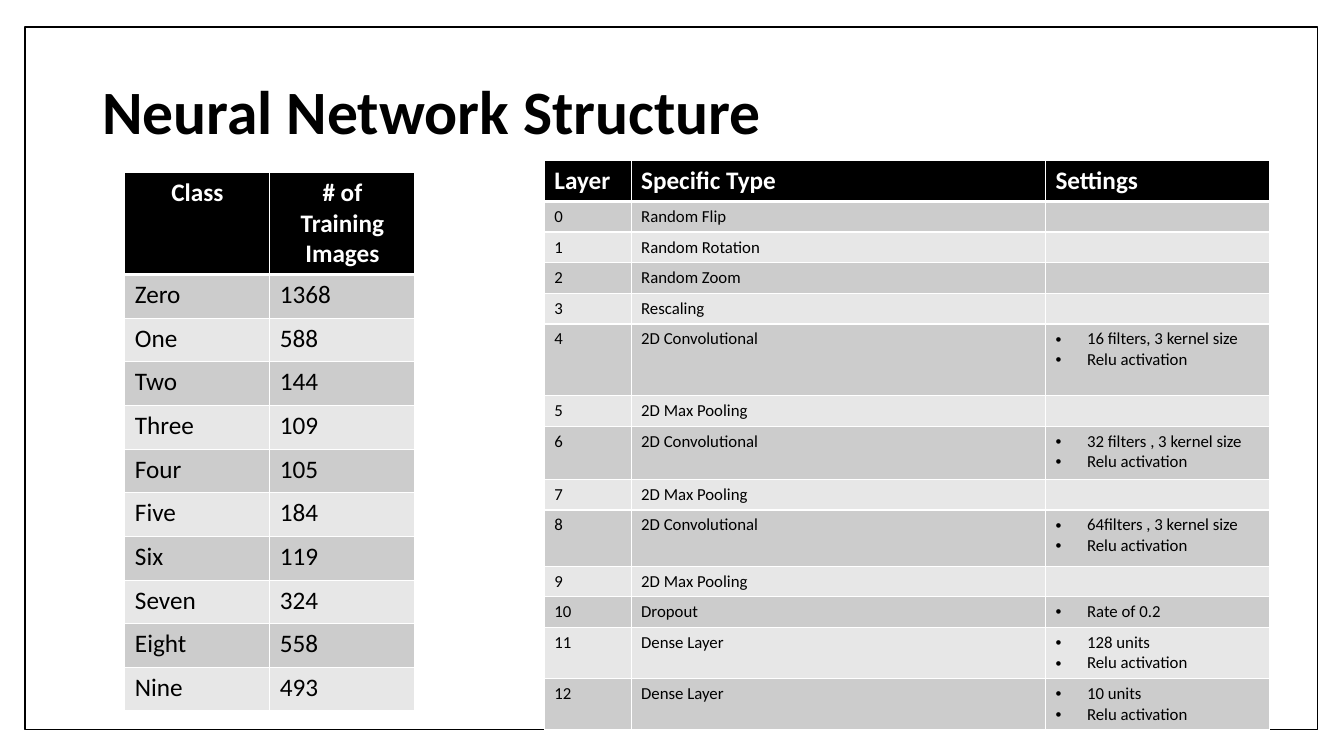
from lxml import etree
from pptx import Presentation
from pptx.dml.color import RGBColor
from pptx.enum.shapes import MSO_SHAPE
from pptx.enum.text import MSO_ANCHOR, PP_ALIGN
from pptx.oxml.ns import qn
from pptx.util import Pt

RECTANGLE = MSO_SHAPE.RECTANGLE
MIDDLE = MSO_ANCHOR.MIDDLE
CENTER, LEFT = PP_ALIGN.CENTER, PP_ALIGN.LEFT

FONT = "Calibri"
BLACK, WHITE = "000000", "FFFFFF"
BANDS = ("CCCCCC", "E7E7E7")
BULLET_INDENT = 22.5

TITLE = "Neural Network Structure"

CLASS_COUNTS = [
    ("Class", "# of Training Images"),
    ("Zero", "1368"),
    ("One", "588"),
    ("Two", "144"),
    ("Three", "109"),
    ("Four", "105"),
    ("Five", "184"),
    ("Six", "119"),
    ("Seven", "324"),
    ("Eight", "558"),
    ("Nine", "493"),
]

RELU = "Relu activation"
LAYER_HEADER = ("Layer", "Specific Type", "Settings")
# Layer type, settings, row height
LAYERS = [
    ("Random Flip", [], 21.9),
    ("Random Rotation", [], 21.9),
    ("Random Zoom", [], 21.9),
    ("Rescaling", [], 21.9),
    ("2D Convolutional", ["16 filters, 3 kernel size", RELU], 51.1),
    ("2D Max Pooling", [], 21.9),
    ("2D Convolutional", ["32 filters , 3 kernel size", RELU], 38),
    ("2D Max Pooling", [], 21.9),
    ("2D Convolutional", ["64filters , 3 kernel size", RELU], 40.2),
    ("2D Max Pooling", [], 21.9),
    ("Dropout", ["Rate of 0.2"], 21.9),
    ("Dense Layer", ["128 units", RELU], 36.5),
    ("Dense Layer", ["10 units", RELU], 36.5),
]


def color(hex_code):
    return RGBColor.from_string(hex_code)


def style_runs(paragraph, size, hex_code, bold):
    for run in paragraph.runs:
        run.font.name = FONT
        run.font.size = Pt(size)
        run.font.bold = bold
        run.font.color.rgb = color(hex_code)


def add_bullet(paragraph):
    properties = paragraph._p.get_or_add_pPr()
    properties.set("marL", str(Pt(BULLET_INDENT)))
    properties.set("indent", str(-Pt(BULLET_INDENT)))
    etree.SubElement(properties, qn("a:buFont"), typeface="Arial")
    etree.SubElement(properties, qn("a:buChar"), char="•")


def add_borders(cell, top, bottom):
    properties = cell._tc.get_or_add_tcPr()
    for side, width in (("L", 1), ("R", 1), ("T", top), ("B", bottom)):
        line = etree.SubElement(properties, qn(f"a:ln{side}"), w=str(Pt(width)))
        fill = etree.SubElement(line, qn("a:solidFill"))
        etree.SubElement(fill, qn("a:srgbClr"), val=WHITE)


def fill_cell(cell, content, row, body_size, header_align):
    """Write a string, or a list of strings as bullets, into a table cell."""
    is_header = row == 0
    size = 18 if is_header else body_size
    add_borders(cell, top=3 if row == 1 else 1, bottom=3 if is_header else 1)
    cell.fill.solid()
    cell.fill.fore_color.rgb = color(BLACK if is_header else BANDS[(row - 1) % 2])

    bulleted = isinstance(content, list)
    cell.text_frame.text = "\n".join(content) if bulleted else content
    for paragraph in cell.text_frame.paragraphs:
        if not content:
            # An empty cell needs its own text size to keep the row low
            etree.SubElement(paragraph._p, qn("a:endParaRPr"), sz=str(size * 100))
        elif bulleted:
            add_bullet(paragraph)
        if is_header:
            paragraph.alignment = header_align
        style_runs(paragraph, size, WHITE if is_header else BLACK, is_header)


def add_grid(slide, left, top, widths, heights, rows, body_size, header_align):
    table = slide.shapes.add_table(
        len(rows), len(widths), Pt(left), Pt(top), Pt(sum(widths)), Pt(sum(heights))
    ).table
    for column, width in zip(table.columns, widths):
        column.width = Pt(width)
    for table_row, height in zip(table.rows, heights):
        table_row.height = Pt(height)
    for r, contents in enumerate(rows):
        for c, content in enumerate(contents):
            fill_cell(table.cell(r, c), content, r, body_size, header_align)


def main():
    deck = Presentation()
    deck.slide_width, deck.slide_height = Pt(960), Pt(540)
    slide = deck.slides.add_slide(deck.slide_layouts[6])

    frame = slide.shapes.add_shape(RECTANGLE, Pt(18), Pt(19.3), Pt(923.2), Pt(502))
    frame.shadow.inherit = False
    frame.fill.solid()
    frame.fill.fore_color.rgb = color(WHITE)
    frame.line.color.rgb = color(BLACK)
    frame.line.width = Pt(1)

    title = slide.shapes.add_textbox(Pt(66), Pt(29.5), Pt(828), Pt(104.4)).text_frame
    title.word_wrap = True
    title.vertical_anchor = MIDDLE
    title.text = TITLE
    title.paragraphs[0].line_spacing = 0.9
    style_runs(title.paragraphs[0], 44, BLACK, True)

    class_heights = [73] + [31.2] * (len(CLASS_COUNTS) - 1)
    add_grid(slide, 89.2, 123.1, [103.6, 103.6], class_heights,
             CLASS_COUNTS, 18, CENTER)

    layer_rows = [LAYER_HEADER] + [
        (str(number), kind, settings)
        for number, (kind, settings, _) in enumerate(LAYERS)
    ]
    layer_heights = [29.4] + [height for _, _, height in LAYERS]
    add_grid(slide, 388.8, 114.5, [62, 296, 160], layer_heights,
             layer_rows, 12, LEFT)

    deck.save("out.pptx")


if __name__ == "__main__":
    main()
